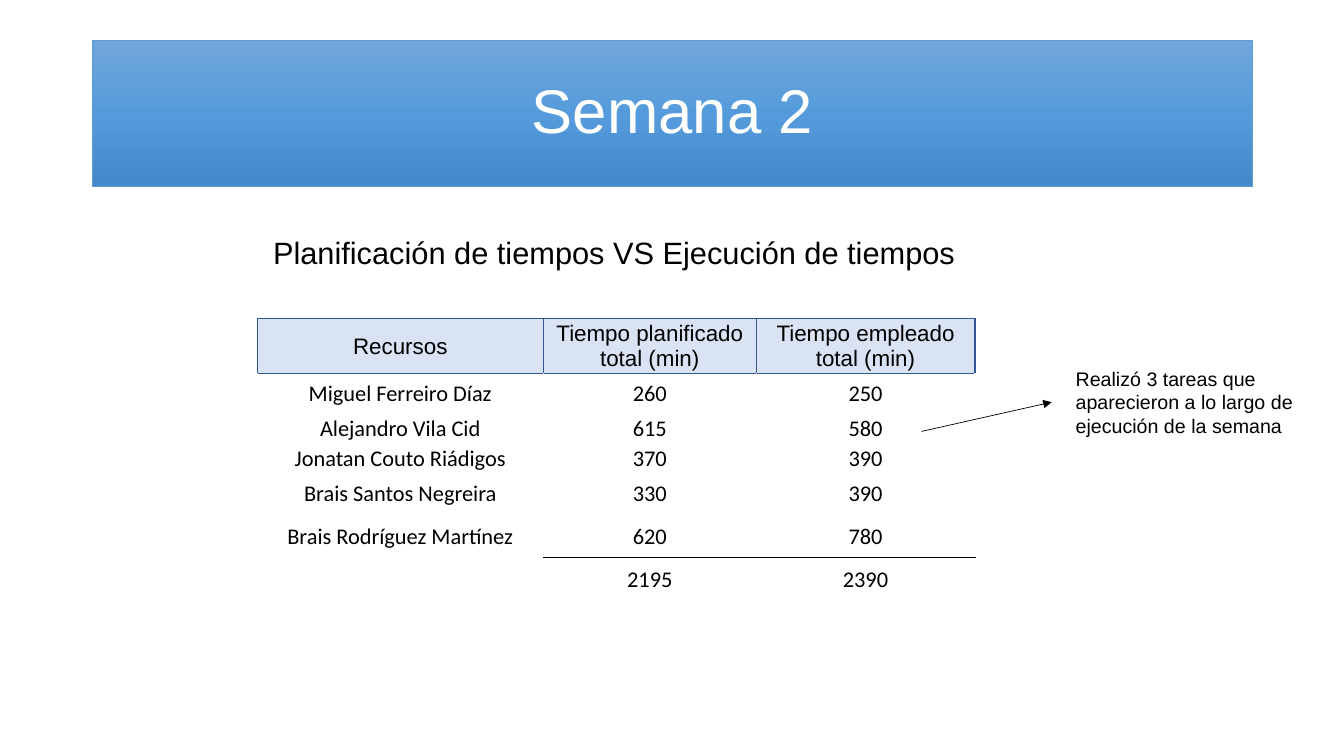
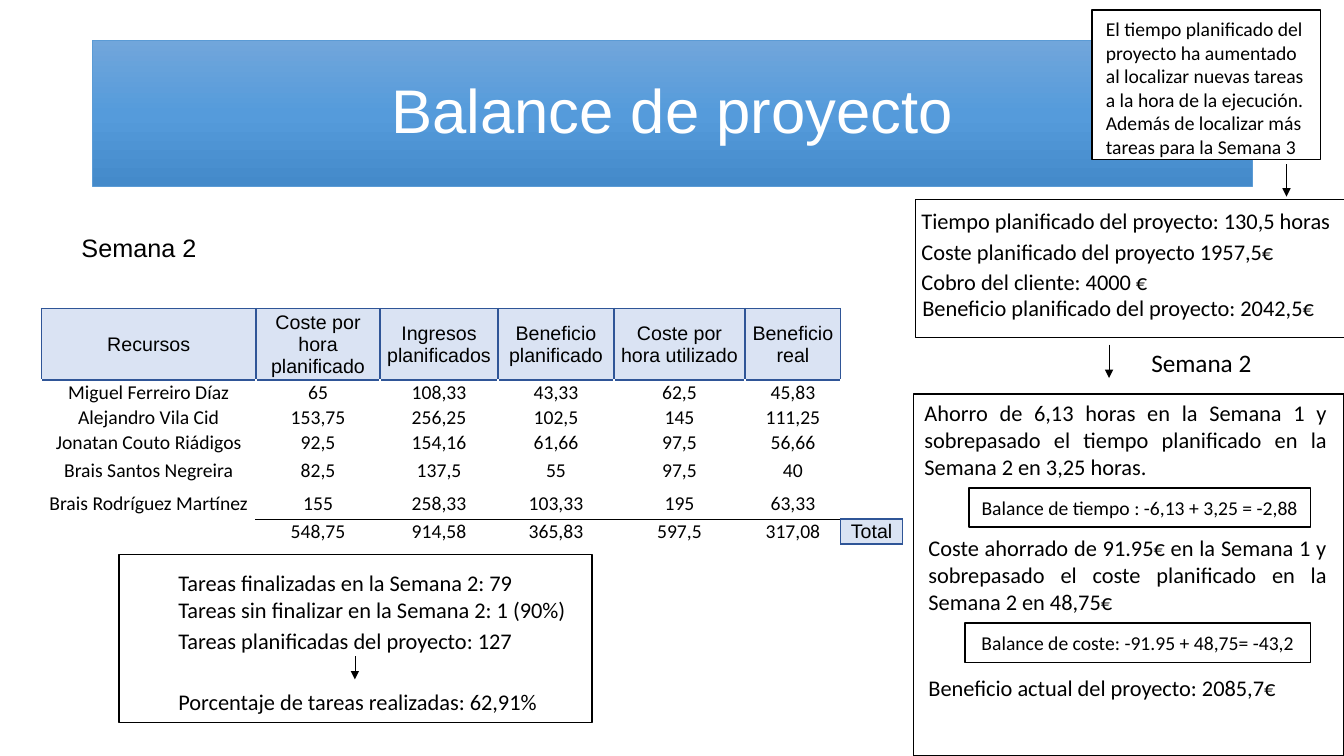
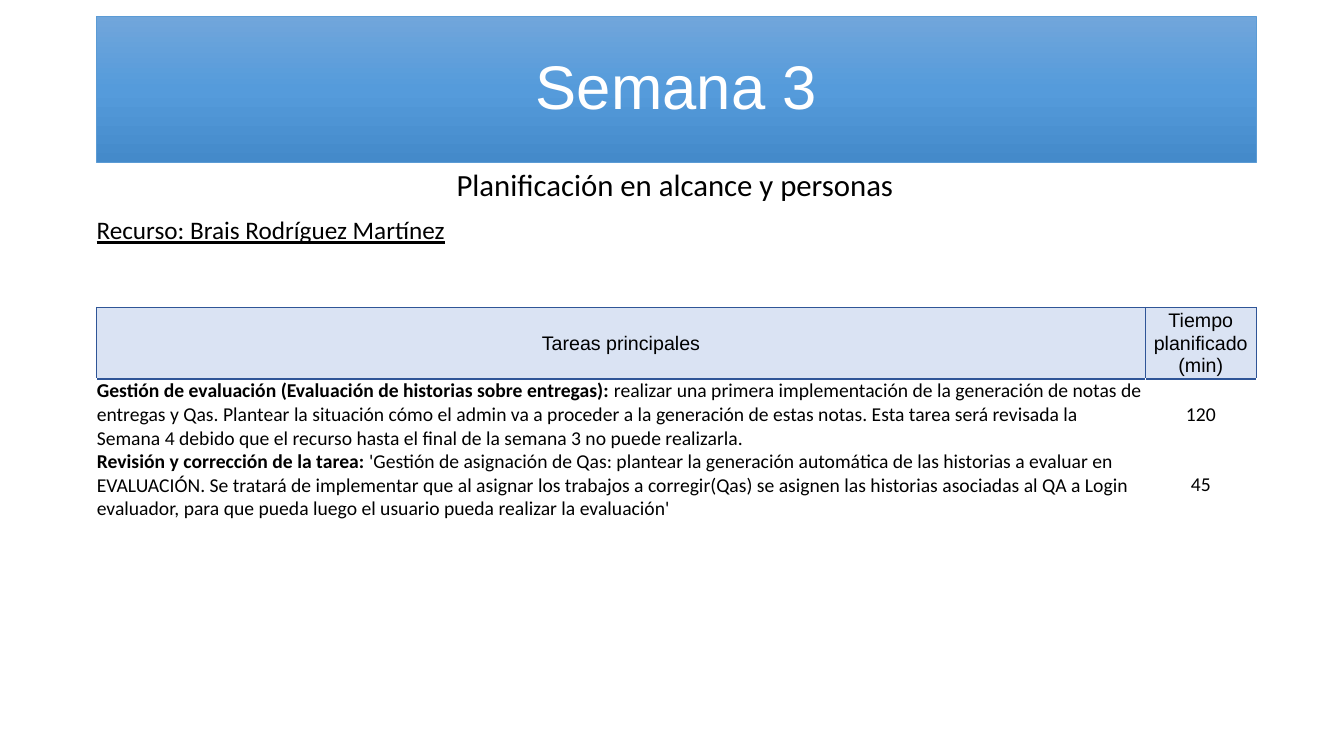
import copy
from dataclasses import dataclass
from typing import Optional

import lxml.etree
import pptx
import pptx.dml.color
import pptx.enum.shapes
import pptx.enum.text
import pptx.oxml.ns
import pptx.slide
import pptx.table
import pptx.text.text
import pptx.util

Inches = pptx.util.Inches
Pt = pptx.util.Pt
RGBColor = pptx.dml.color.RGBColor
Align = pptx.enum.text.PP_ALIGN
Anchor = pptx.enum.text.MSO_ANCHOR
qn = pptx.oxml.ns.qn

# Shared look
BLACK = RGBColor(0x00, 0x00, 0x00)
WHITE = RGBColor(0xFF, 0xFF, 0xFF)
BAND_STOPS = (
    (0, RGBColor(0x71, 0xA6, 0xDB)),
    (0.5, RGBColor(0x55, 0x9B, 0xDB)),
    (1, RGBColor(0x44, 0x8A, 0xCA)),
)
BAND_EDGE = RGBColor(0x5B, 0x9B, 0xD5)
HEADING_FILL = RGBColor(0xDA, 0xE3, 0xF3)
HEADING_EDGE = RGBColor(0x2F, 0x55, 0x97)
HEADING_FONT = "Arial"
BODY_FONT = "Calibri"
TOTAL = "Total"


@dataclass
class Label:
    text: str
    left: float
    top: float
    width: float
    height: float
    size: float = 16
    font: str = BODY_FONT
    align: Align = Align.LEFT
    underline: bool = False


@dataclass
class Box:
    left: float
    top: float
    width: float
    height: float
    text: str = ""


@dataclass
class Arrow:
    start: tuple[float, float]
    end: tuple[float, float]


@dataclass
class Grid:
    left: float
    top: float
    widths: list[float]
    heights: list[float]
    rows: list[list[str]]
    size: float = 14
    inset: float = 0.01
    has_totals: bool = False
    task_column: Optional[int] = None


def write(frame: pptx.text.text.TextFrame, text: str, *, size: float,
          font: str = BODY_FONT, color: RGBColor = BLACK,
          align: Align = Align.LEFT, underline: bool = False,
          bold_lead: bool = False, spacing: float = 1.0) -> None:
    """Write one paragraph per line; bold_lead bolds up to the first colon."""
    frame.word_wrap = True
    for index, line in enumerate(text.split("\n")):
        paragraph = frame.paragraphs[0] if index == 0 else frame.add_paragraph()
        paragraph.alignment = align
        paragraph.line_spacing = spacing
        lead, colon, rest = line.partition(": ") if bold_lead else ("", "", line)
        for part, bold in ((lead + colon, True), (rest, False)):
            if part:
                run = paragraph.add_run()
                run.text = part
                run.font.size = Pt(size)
                run.font.name = font
                run.font.bold = bold
                run.font.underline = underline
                run.font.color.rgb = color
        if not line:
            lxml.etree.SubElement(paragraph._p, qn("a:endParaRPr"), sz=str(int(size * 100)))


def add_titled_slide(deck: pptx.presentation.Presentation, text: str,
                     left: float = 0.92, top: float = 0.4) -> pptx.slide.Slide:
    slide = deck.slides.add_slide(deck.slide_layouts[5])
    band = slide.shapes.title
    band.left, band.top = Inches(left), Inches(top)
    band.width, band.height = Inches(11.5), Inches(1.45)
    band.fill.gradient()
    band.fill.gradient_angle = 270
    stop_list = band._element.spPr.find(".//" + qn("a:gsLst"))
    stop_list.append(copy.deepcopy(stop_list[0]))
    for stop, (position, color) in zip(band.fill.gradient_stops, BAND_STOPS):
        stop.position = position
        stop.color.rgb = color
    band.line.color.rgb = BAND_EDGE
    band.line.width = Pt(0.5)
    band.text_frame.auto_size = pptx.enum.text.MSO_AUTO_SIZE.NONE
    band.text_frame.vertical_anchor = Anchor.MIDDLE
    write(band.text_frame, text, size=44, font=HEADING_FONT, color=WHITE,
          align=Align.CENTER, spacing=0.9)
    return slide


def add_label(slide: pptx.slide.Slide, label: Label) -> None:
    area = slide.shapes.add_textbox(Inches(label.left), Inches(label.top),
                                    Inches(label.width), Inches(label.height))
    write(area.text_frame, label.text, size=label.size, font=label.font,
          align=label.align, underline=label.underline)


def add_box(slide: pptx.slide.Slide, box: Box) -> None:
    panel = slide.shapes.add_shape(
        pptx.enum.shapes.MSO_SHAPE.RECTANGLE, Inches(box.left), Inches(box.top),
        Inches(box.width), Inches(box.height))
    panel.shadow.inherit = False
    panel.fill.solid()
    panel.fill.fore_color.rgb = WHITE
    panel.line.color.rgb = BLACK
    panel.line.width = Pt(1)
    if box.text:
        panel.text_frame.vertical_anchor = Anchor.MIDDLE
        write(panel.text_frame, box.text, size=14, align=Align.CENTER)


def add_arrow(slide: pptx.slide.Slide, arrow: Arrow) -> None:
    line = slide.shapes.add_connector(
        pptx.enum.shapes.MSO_CONNECTOR.STRAIGHT,
        *(Inches(value) for value in arrow.start + arrow.end))
    line.line.color.rgb = BLACK
    line.line.width = Pt(0.5)
    properties = line._element.spPr
    lxml.etree.SubElement(properties.find(qn("a:ln")), qn("a:tailEnd"), type="triangle")
    lxml.etree.SubElement(properties, qn("a:effectLst"))


# Tables
def is_heading(grid: Grid, row: int, column: int) -> bool:
    if not (0 <= row < len(grid.rows) and 0 <= column < len(grid.widths)):
        return False
    text = grid.rows[row][column]
    return text == TOTAL or (row == 0 and text != "")


def add_edge(cell: pptx.table._Cell, side: str, color: RGBColor, width: float) -> None:
    edge = lxml.etree.SubElement(cell._tc.get_or_add_tcPr(), qn("a:ln" + side),
                                 w=str(Pt(width)))
    fill = lxml.etree.SubElement(edge, qn("a:solidFill"))
    lxml.etree.SubElement(fill, qn("a:srgbClr"), val=str(color))


def add_edges(cell: pptx.table._Cell, grid: Grid, row: int, column: int) -> None:
    """Headings are framed; a thin rule parts the totals from the rows above."""
    last = len(grid.rows) - 1
    neighbours = {"L": (row, column - 1), "R": (row, column + 1),
                  "T": (row - 1, column), "B": (row + 1, column)}
    for side, neighbour in neighbours.items():
        if is_heading(grid, row, column) or is_heading(grid, *neighbour):
            add_edge(cell, side, HEADING_EDGE, 1)
        elif (grid.has_totals and grid.rows[last][column]
              and (row, side) in ((last, "T"), (last - 1, "B"))):
            add_edge(cell, side, BLACK, 0.5)


def add_grid(slide: pptx.slide.Slide, grid: Grid) -> None:
    table = slide.shapes.add_table(
        len(grid.rows), len(grid.widths), Inches(grid.left), Inches(grid.top),
        Inches(sum(grid.widths)), Inches(sum(grid.heights))).table
    table.first_row = table.horz_banding = False
    for column, width in zip(table.columns, grid.widths):
        column.width = Inches(width)
    for row, height in zip(table.rows, grid.heights):
        row.height = Inches(height)
    for r, texts in enumerate(grid.rows):
        for c, text in enumerate(texts):
            cell = table.cell(r, c)
            heading = is_heading(grid, r, c)
            task = c == grid.task_column and not heading
            cell.margin_left = cell.margin_right = cell.margin_top = Inches(grid.inset)
            cell.margin_bottom = 0
            cell.vertical_anchor = Anchor.MIDDLE
            add_edges(cell, grid, r, c)
            if heading:
                cell.fill.solid()
                cell.fill.fore_color.rgb = HEADING_FILL
            else:
                cell.fill.background()
            write(cell.text_frame, text, size=grid.size,
                  font=HEADING_FONT if heading else BODY_FONT,
                  align=Align.LEFT if task else Align.CENTER, bold_lead=task)


deck = pptx.Presentation()
deck.slide_width, deck.slide_height = Inches(13.33), Inches(7.5)
RESOURCES = ["Miguel Ferreiro Díaz", "Alejandro Vila Cid", "Jonatan Couto Riádigos",
             "Brais Santos Negreira", "Brais Rodríguez Martínez"]

# Slide 1: planned against spent time
times = add_titled_slide(deck, "Semana 2")
add_label(times, Label("Planificación de tiempos VS Ejecución de tiempos",
                       2.61, 2.27, 7, 0.47, 22, HEADING_FONT))
minutes = [["260", "250"], ["615", "580"], ["370", "390"], ["330", "390"], ["620", "780"]]
add_grid(times, Grid(
    2.55, 3.16, [2.84, 2.11, 2.17], [0.54, 0.4, 0.3, 0.28, 0.42, 0.43, 0.43],
    [["Recursos", "Tiempo planificado total (min)", "Tiempo empleado total (min)"],
     *([name, *values] for name, values in zip(RESOURCES, minutes)),
     ["", "2195", "2390"]],
    size=16, has_totals=True))
add_arrow(times, Arrow((9.14, 4.28), (10.43, 3.99)))
add_label(times, Label("Realizó 3 tareas que aparecieron a lo largo de ejecución de la semana",
                       10.57, 3.59, 2.4, 0.81, 14, HEADING_FONT))

# Slide 2: project balance
balance = add_titled_slide(deck, "Balance de proyecto")
costs = [
    ["65", "108,33", "43,33", "62,5", "45,83"],
    ["153,75", "256,25", "102,5", "145", "111,25"],
    ["92,5", "154,16", "61,66", "97,5", "56,66"],
    ["82,5", "137,5", "55", "97,5", "40"],
    ["155", "258,33", "103,33", "195", "63,33"],
]
add_grid(balance, Grid(
    0.41, 3.06, [2.13, 1.23, 1.17, 1.15, 1.3, 0.95, 0.61],
    [0.71, 0.24, 0.24, 0.24, 0.32, 0.32, 0.24],
    [["Recursos", "Coste por hora planificado", "Ingresos planificados",
      "Beneficio planificado", "Coste por hora utilizado", "Beneficio real", ""],
     *([name, *values, ""] for name, values in zip(RESOURCES, costs)),
     ["", "548,75", "914,58", "365,83", "597,5", "317,08", TOTAL]],
    has_totals=True))
for box in (
    Box(9.08, 1.98, 4.27, 1.37),
    Box(9.06, 3.91, 4.27, 3.59),
    Box(10.83, 0.1, 2.27, 1.48),
    Box(9.61, 4.84, 3.39, 0.39, "Balance de tiempo : -6,13 + 3,25 = -2,88"),
    Box(9.57, 6.18, 3.43, 0.39, "Balance de coste: -91.95 + 48,75= -43,2"),
    Box(1.18, 5.5, 4.69, 1.67),
):
    add_box(balance, box)
for label in (
    Label("Semana 2", 0.71, 2.26, 1.41, 0.4, 18, HEADING_FONT),
    Label("El tiempo planificado del proyecto ha aumentado al localizar nuevas tareas a la "
          "hora de la ejecución. Además de localizar más tareas para la Semana 3",
          10.87, 0.12, 2.23, 1.51, 14),
    Label("Tiempo planificado del proyecto: 130,5 horas", 9.04, 2.01, 4.52, 0.37),
    Label("Coste planificado del proyecto 1957,5€", 9.04, 2.31, 4.27, 0.37),
    Label("Cobro del cliente: 4000 €", 9.04, 2.61, 4.24, 0.37),
    Label("Beneficio planificado del proyecto: 2042,5€", 9.05, 2.87, 4.24, 0.37),
    Label("Semana 2", 11.32, 3.4, 1.78, 0.4, 18),
    Label("Ahorro de 6,13 horas en la Semana 1 y sobrepasado el tiempo planificado en la "
          "Semana 2 en 3,25 horas.", 9.07, 3.91, 4.19, 0.91, align=Align.JUSTIFY),
    Label("Coste ahorrado de 91.95€ en la Semana 1 y sobrepasado el coste planificado en la "
          "Semana 2 en 48,75€", 9.11, 5.25, 4.15, 0.91, align=Align.JUSTIFY),
    Label("Beneficio actual del proyecto: 2085,7€", 9.11, 6.64, 4.15, 0.37),
    Label("Tareas finalizadas en la Semana 2: 79\nTareas sin finalizar en la Semana 2: 1 (90%)",
          1.67, 5.6, 4.1, 1.45),
    Label("Tareas planificadas del proyecto: 127", 1.67, 6.17, 3.72, 0.37),
    Label("Porcentaje de tareas realizadas: 62,91%", 1.67, 6.78, 3.83, 0.64),
):
    add_label(balance, label)
for x, top, bottom in ((12.76, 1.63, 1.95), (11, 3.42, 3.75), (3.52, 6.51, 6.74)):
    add_arrow(balance, Arrow((x, top), (x, bottom)))

# Slide 3: tasks planned for the next week
tasks = add_titled_slide(deck, "Semana 3", 0.96, 0.16)
add_label(tasks, Label("Planificación en alcance y personas", 4.43, 1.6, 4.57, 0.47, 22))
add_label(tasks, Label(f"Recurso: {RESOURCES[-1]}", 0.86, 2.08, 3.67, 0.4, 18,
                       underline=True))
add_grid(tasks, Grid(
    0.96, 3.05, [10.4, 1.1], [0.71, 0.7, 0.7],
    [["Tareas principales", "Tiempo planificado (min)"],
     ["Gestión de evaluación (Evaluación de historias sobre entregas): realizar una primera "
      "implementación de la generación de notas de entregas y Qas. Plantear la situación cómo "
      "el admin va a proceder a la generación de estas notas. Esta tarea será revisada la "
      "Semana 4 debido que el recurso hasta el final de la semana 3 no puede realizarla.",
      "120"],
     ["Revisión y corrección de la tarea: 'Gestión de asignación de Qas: plantear la "
      "generación automática de las historias a evaluar en EVALUACIÓN. Se tratará de "
      "implementar que al asignar los trabajos a corregir(Qas) se asignen las historias "
      "asociadas al QA a Login evaluador, para que pueda luego el usuario pueda realizar la "
      "evaluación'", "45"]],
    inset=0, task_column=0))

deck.save("out.pptx")
